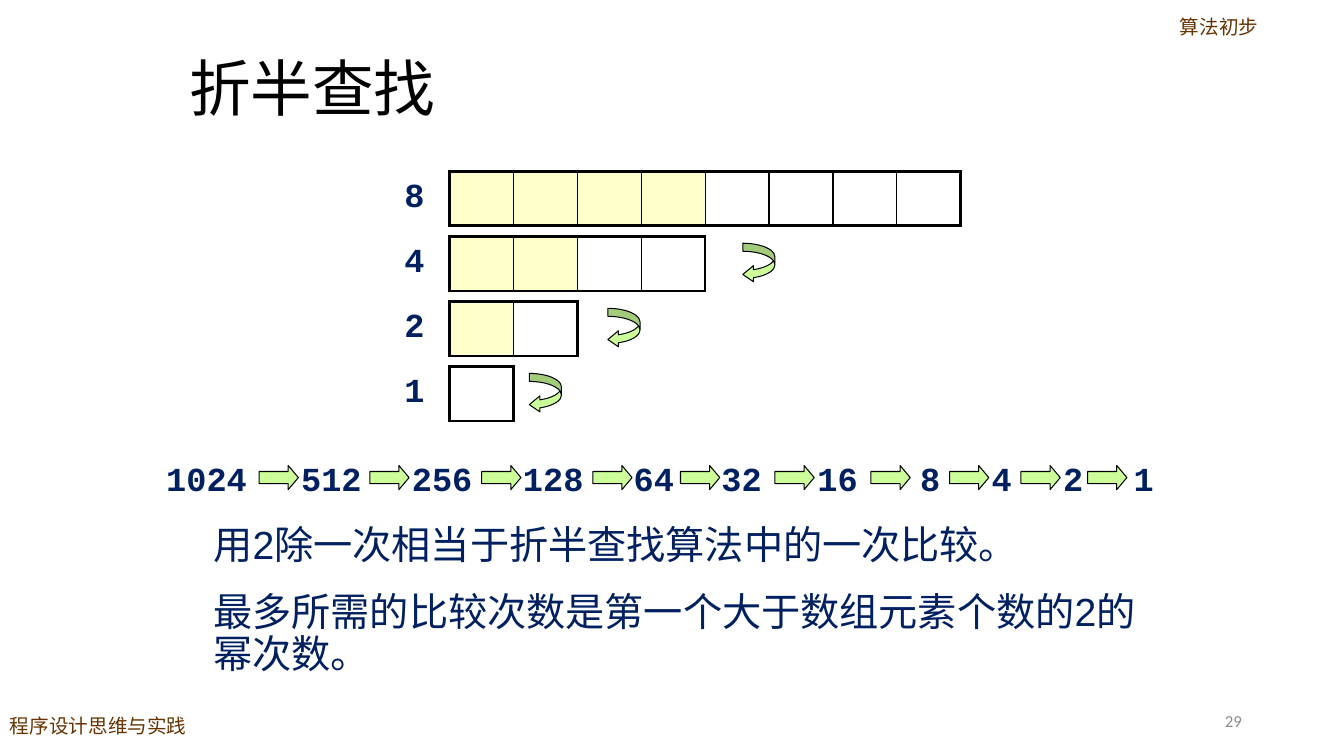
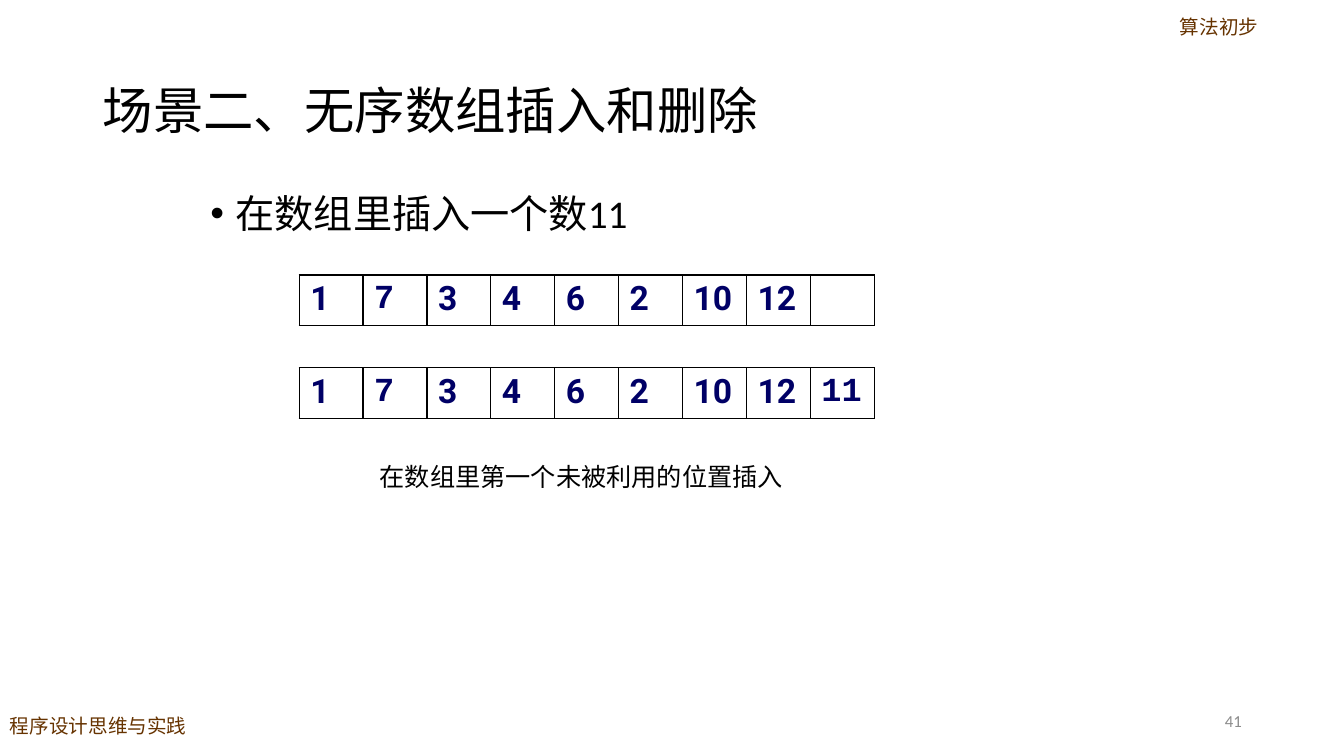
from lxml.etree import SubElement
from pptx import Presentation
from pptx.dml.color import RGBColor
from pptx.enum.shapes import MSO_SHAPE as Shape
from pptx.enum.text import MSO_ANCHOR as Anchor, PP_ALIGN as Align
from pptx.oxml.ns import qn
from pptx.util import Cm, Pt

rgb = RGBColor.from_string
BLACK, BROWN, GRAY = "000000", "663300", "8C8C8C"
NAVY, DIGIT_BLUE = "002060", "000066"
YELLOW, GREEN = "FFFFCC", "CCFF99"
CELL_WIDTH = 1.61

TITLE = {"color": BLACK, "anchor": Anchor.MIDDLE}
HEADER = {"size": 14, "color": BROWN}
NUMBER = {"size": 24, "font": "Courier New", "color": NAVY, "bold": True}
STATEMENT = {"size": 28, "font": "Arial", "color": NAVY}
PAGE_NUMBER = {"size": 12, "font": "Calibri", "color": GRAY, "spacing": 1.0,
               "align": Align.RIGHT, "anchor": Anchor.MIDDLE}


def add_text(page, text, place, size, font, color, bold=False, spacing=0.9,
             align=Align.LEFT, anchor=Anchor.TOP, wrap=True, bullet=False):
    box = page.shapes.add_textbox(*map(Cm, place))
    frame = box.text_frame
    para = frame.paragraphs[0]
    if bullet:
        props = para._p.get_or_add_pPr()
        props.set("marL", str(Cm(0.64)))
        props.set("indent", str(-Cm(0.64)))
        SubElement(props, qn("a:buFont"), typeface="Arial")
        SubElement(props, qn("a:buChar"), char="•")
    span = para.add_run()
    span.text = text
    span.font.color.rgb = rgb(color)
    formats = (
        (frame, {"word_wrap": wrap, "vertical_anchor": anchor}),
        (para, {"line_spacing": spacing, "alignment": align}),
        (span.font, {"size": Pt(size), "name": font, "bold": bold}),
    )
    for target, values in formats:
        for name, value in values.items():
            setattr(target, name, value)


def add_array(page, left, top, height, values, outline, shaded=0):
    """Draw a one-row table; the first `shaded` cells are yellow."""
    count = len(values)
    table = page.shapes.add_table(1, count, Cm(left), Cm(top),
                                  Cm(CELL_WIDTH * count), Cm(height)).table
    table.first_row = table.horz_banding = False
    for index, value in enumerate(values):
        table.columns[index].width = Cm(CELL_WIDTH)
        cell = table.cell(0, index)
        for side in ("left", "right", "top", "bottom"):
            margin = Cm(0.28 if side in ("left", "right") else 0.13)
            setattr(cell, f"margin_{side}", margin)
        props = cell._tc.get_or_add_tcPr()
        borders = {"lnL": 1 if index else outline,
                   "lnR": 1 if index < count - 1 else outline,
                   "lnT": outline, "lnB": outline}
        for tag, width in borders.items():
            line = SubElement(props, qn(f"a:{tag}"), w=str(Pt(width)))
            paint = SubElement(line, qn("a:solidFill"))
            SubElement(paint, qn("a:srgbClr"), val=BLACK)
        if index < shaded:
            cell.fill.solid()
            cell.fill.fore_color.rgb = rgb(YELLOW)
        else:
            cell.fill.background()
        if value:
            para = cell.text_frame.paragraphs[0]
            para.line_spacing = 0.95
            span = para.add_run()
            span.text = value
            span.font.color.rgb = rgb(DIGIT_BLUE)
            font = "Courier New" if value in ("7", "11") else "Roboto"
            for name, setting in {"size": Pt(24), "bold": True, "name": font}.items():
                setattr(span.font, name, setting)


deck = Presentation()
deck.slide_width, deck.slide_height = Cm(33.87), Cm(19.05)
pages = []
for number in ("29", "41"):
    page = deck.slides.add_slide(deck.slide_layouts[6])
    add_text(page, "程序设计思维与实践", (0, 17.93, 7.34, 1.12), font="Arial", **HEADER)
    add_text(page, "算法初步", (27.03, 0.33, 7.39, 0.99), font="Noto Sans CJK SC",
             align=Align.CENTER, **HEADER)
    add_text(page, number, (23.93, 17.65, 7.62, 1.02), **PAGE_NUMBER)
    pages.append(page)
search_page, insert_page = pages

# Binary search: halving an array
add_text(search_page, "折半查找", (4.52, 0.71, 24.77, 3.18), size=44, font="Calibri", **TITLE)
arrows = []
for row, (count, turn_left) in enumerate(((8, None), (4, 18.72), (2, 15.32), (1, 13.34))):
    top = 4.32 + 1.64 * row
    add_array(search_page, 11.33, top, 1.37, [""] * count, outline=2.25, shaded=count // 2)
    add_text(search_page, str(count), (9.94, top + 0.05, 1.2, 1.19), **NUMBER)
    if turn_left:
        arrows.append((Shape.CURVED_LEFT_ARROW, (turn_left, top + 0.17, 0.81, 0.99),
                       (0.25, 0.5, 0.33)))

# Left edge of each number and of the arrow after it
halvings = ((3.94, 6.53), (7.34, 9.32), (10.13, 12.14), (12.93, 14.94), (15.72, 17.15),
            (17.93, 19.53), (20.35, 21.95), (22.94, 23.93), (24.74, 25.73),
            (26.54, 27.41), (28.32, None))
for step, (left, arrow_left) in enumerate(halvings):
    value = str(1024 // 2 ** step)
    add_text(search_page, value, (left, 11.53, 0.9 + 0.5 * len(value), 1.19), **NUMBER)
    if arrow_left:
        arrows.append((Shape.RIGHT_ARROW, (arrow_left, 11.73, 0.99, 0.61), (0.5, 0.42)))

for kind, place, adjustments in arrows:
    arrow = search_page.shapes.add_shape(kind, *map(Cm, place))
    for index, value in enumerate(adjustments):
        arrow.adjustments[index] = value
    arrow.shadow.inherit = False
    arrow.fill.solid()
    arrow.fill.fore_color.rgb = rgb(GREEN)
    arrow.line.color.rgb = rgb(BLACK)
    arrow.line.width = Pt(0.75)

add_text(search_page, "用2除一次相当于折半查找算法中的一次比较。",
         (5.13, 13.13, 24, 1.32), **STATEMENT)
add_text(search_page, "最多所需的比较次数是第一个大于数组元素个数的2的幂次数。",
         (5.13, 14.81, 24, 2.39), **STATEMENT)

# Inserting into an unsorted array
add_text(insert_page, "场景二、无序数组插入和删除", (2.34, 1.02, 29.21, 3.68),
         size=36, font="Arial", **TITLE)
add_text(insert_page, "在数组里插入一个数11", (5.05, 4.78, 23.72, 12.09),
         size=28, font="Calibri", color=BLACK, bullet=True)
numbers = ["1", "7", "3", "4", "6", "2", "10", "12"]
for top, last in ((6.93, ""), (9.27, "11")):
    add_array(insert_page, 7.54, top, 1.27, numbers + [last], outline=1)
add_text(insert_page, "在数组里第一个未被利用的位置插入", (9.32, 11.51, 10.77, 1.02),
         size=18, font="Calibri", color=BLACK, spacing=1.0, wrap=False)

deck.save("out.pptx")
